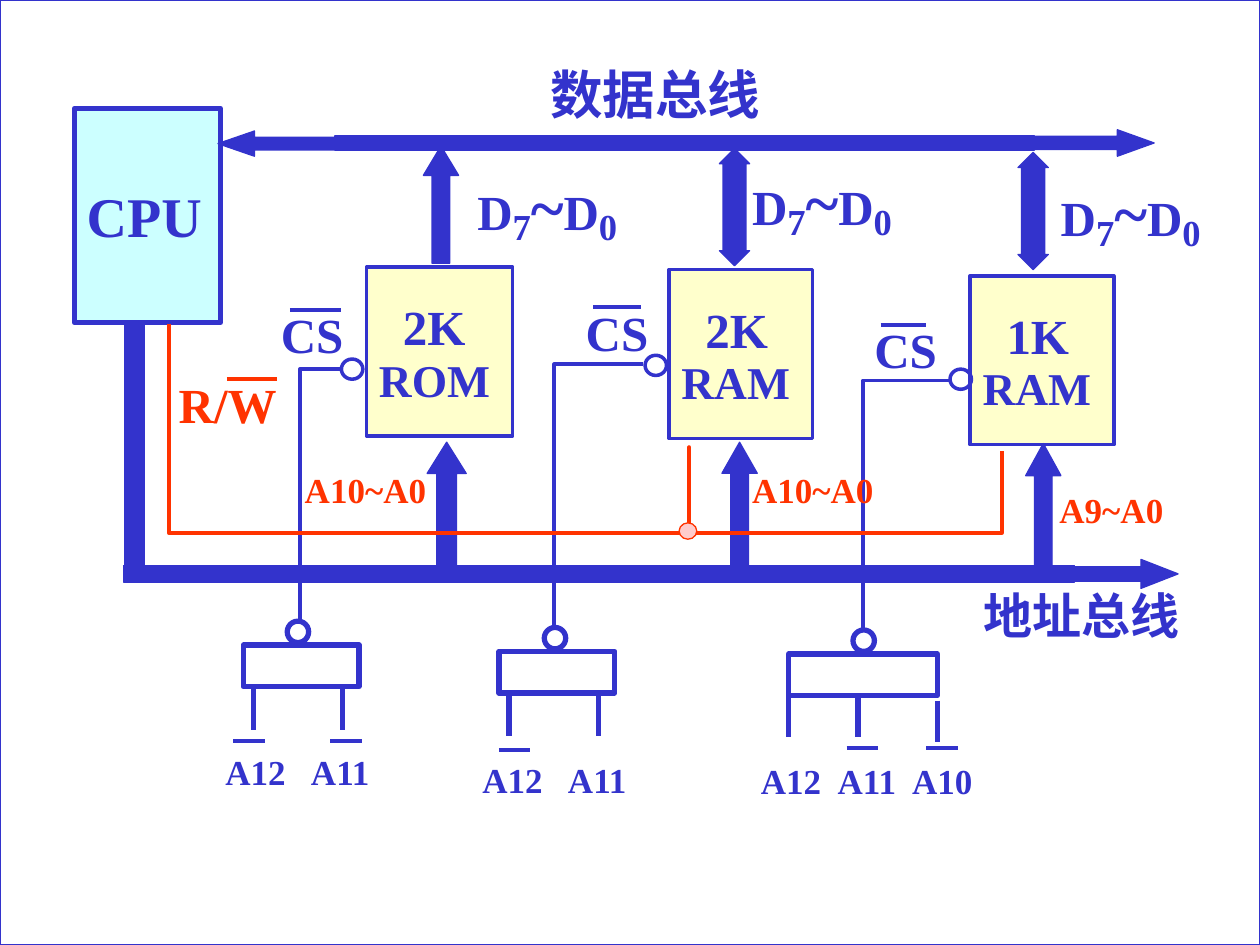
import pptx
import pptx.util
import pptx.dml.color
import pptx.enum.shapes
import pptx.enum.text
import pptx.oxml.ns
import lxml.etree

Inches = pptx.util.Inches
Pt = pptx.util.Pt
RGB = pptx.dml.color.RGBColor.from_string
SHAPE = pptx.enum.shapes.MSO_SHAPE
ANCHOR = pptx.enum.text.MSO_ANCHOR
qn = pptx.oxml.ns.qn

COLORS = {"blue": "3333CC", "red": "FF3300", "cyan": "CCFFFF",
          "yellow": "FFFFCC", "pink": "FFCCCC", "white": "FFFFFF"}
FONT = "Times New Roman"

deck = pptx.Presentation()
deck.slide_width, deck.slide_height = Inches(10), Inches(7.5)
page = deck.slides.add_slide(deck.slide_layouts[6])


def add_block(kind, left, top, width, height, fill=None, line="blue", weight=0.75, head=None):
    block = page.shapes.add_shape(kind, Inches(left), Inches(top), Inches(width), Inches(height))
    block.shadow.inherit = False
    if fill:
        block.fill.solid()
        block.fill.fore_color.rgb = RGB(COLORS[fill])
    else:
        block.fill.background()
    block.line.color.rgb = RGB(COLORS[line])
    block.line.width = Pt(weight)
    if head:
        block.adjustments[0], block.adjustments[1] = 0.5, head
    return block


def write_line(para, text, size, color="blue", tabs=()):
    properties = para._p.get_or_add_pPr()
    if tabs:
        tab_list = lxml.etree.SubElement(properties, qn("a:tabLst"))
        for stop in tabs:
            lxml.etree.SubElement(tab_list, qn("a:tab"), pos=str(Inches(stop)), algn="l")
    para.text = text
    para.alignment = pptx.enum.text.PP_ALIGN.LEFT
    for span in para.runs:
        span.font.size = Pt(size)
        span.font.name = FONT
        span.font.bold = True
        span.font.color.rgb = RGB(COLORS[color])


# Page frame and CPU
add_block(SHAPE.RECTANGLE, 0, 0, 10, 7.5, "white")
cpu = add_block(SHAPE.RECTANGLE, 0.59, 0.86, 1.16, 1.7, "cyan", weight=3)
cpu.text_frame.vertical_anchor = ANCHOR.MIDDLE
write_line(cpu.text_frame.paragraphs[0], "CPU", 32)

# Memory chips
for left, top, width, capacity, memory in [
        (2.91, 2.12, 1.16, "2K", "ROM"), (5.31, 2.14, 1.14, "2K", "RAM"),
        (7.7, 2.19, 1.14, "1K", "RAM")]:
    chip = add_block(SHAPE.RECTANGLE, left, top, width, 1.34, "yellow", weight=2)
    chip.text_frame.vertical_anchor = ANCHOR.TOP
    first = chip.text_frame.paragraphs[0]
    write_line(first, capacity, 28)
    first._p.get_or_add_pPr().set("marL", str(Inches(0.19)))
    first.line_spacing = 1.4
    second = chip.text_frame.add_paragraph()
    write_line(second, memory, 26)
    second.line_spacing = 0.95

# Data bus and address bus: shape, left, top, width, height, arrowhead
for kind, left, top, width, height, head in [
        (SHAPE.UP_ARROW, 3.36, 1.16, 0.28, 0.93, 0.83),
        (SHAPE.RIGHT_ARROW, 7.99, 1.03, 1.17, 0.21, 1.39),
        (SHAPE.RECTANGLE, 2.66, 1.08, 5.55, 0.11, None),
        (SHAPE.LEFT_ARROW, 1.73, 1.04, 1.17, 0.2, 1.45),
        (SHAPE.UP_DOWN_ARROW, 5.71, 1.18, 0.24, 0.93, 0.76),
        (SHAPE.UP_DOWN_ARROW, 8.08, 1.21, 0.24, 0.93, 0.76),
        (SHAPE.RECTANGLE, 0.99, 2.58, 0.16, 1.96, None),
        (SHAPE.UP_ARROW, 3.39, 3.51, 0.31, 1, 0.8),
        (SHAPE.UP_ARROW, 8.14, 3.52, 0.28, 1.02, 0.91),
        (SHAPE.UP_ARROW, 5.73, 3.51, 0.28, 0.98, 0.88),
        (SHAPE.RIGHT_ARROW, 8.18, 4.44, 1.17, 0.23, 1.28),
        (SHAPE.RECTANGLE, 0.98, 4.49, 7.55, 0.13, None)]:
    add_block(kind, left, top, width, height, "blue", head=head)

# Chip select wires and the read/write wire
for color, points in [
        ("blue", [(2.38, 4.95), (2.38, 2.93), (2.7, 2.93)]),
        ("blue", [(4.4, 4.98), (4.4, 2.89), (5.1, 2.89)]),
        ("blue", [(6.85, 4.99), (6.85, 3.02), (7.53, 3.02)]),
        ("red", [(1.34, 2.57), (1.34, 4.23), (5.47, 4.23), (5.47, 3.55),
                 (5.47, 4.23), (7.95, 4.23), (7.95, 3.58)])]:
    corners = [(Inches(x), Inches(y)) for x, y in points]
    builder = page.shapes.build_freeform(*corners[0])
    builder.add_line_segments(corners[1:], close=False)
    wire = builder.convert_to_shape()
    wire.shadow.inherit = False
    wire.fill.background()
    wire.line.color.rgb = RGB(COLORS[color])
    wire.line.width = Pt(2.25)

# Inverting inputs and the read/write junction
for left, top in [(2.71, 2.85), (5.12, 2.82), (7.54, 2.93)]:
    add_block(SHAPE.OVAL, left, top, 0.17, 0.16, weight=2)
add_block(SHAPE.OVAL, 5.39, 4.15, 0.14, 0.13, "pink", "red")

# Address decoders: left, top, width, bubble left
for left, top, width, bubble in [
        (1.93, 5.12, 0.92, 2.28), (3.96, 5.17, 0.92, 4.32), (6.26, 5.19, 1.18, 6.77)]:
    add_block(SHAPE.RECTANGLE, left, top, width, 0.33, weight=3)
    add_block(SHAPE.OVAL, bubble, top - 0.19, 0.17, 0.17, weight=3)

# Decoder input pins and negation bars: x, y, run, drop
pins = [(x, y, 0, 0.33) for x, y in [
    (2.01, 5.46), (2.72, 5.46), (4.04, 5.51), (4.75, 5.51),
    (6.26, 5.52), (6.81, 5.52), (7.44, 5.56)]]
address_bars = [(x, y, 0.25, 0) for x, y in [
    (1.85, 5.88), (2.62, 5.88), (3.96, 5.95), (6.72, 5.94), (7.35, 5.94)]]
select_bars = [(2.3, 2.46, 0.41, 0), (4.71, 2.44, 0.38, 0), (6.99, 2.58, 0.36, 0)]
for lines, color, weight in [
        (pins, "blue", 3), (address_bars + select_bars, "blue", 2.25),
        ([(1.8, 3.01, 0.4, 0)], "red", 2.25)]:
    for x, y, run, drop in lines:
        bar = page.shapes.add_connector(
            pptx.enum.shapes.MSO_CONNECTOR.STRAIGHT,
            Inches(x), Inches(y), Inches(x + run), Inches(y + drop))
        bar.line.color.rgb = RGB(COLORS[color])
        bar.line.width = Pt(weight)
        lxml.etree.SubElement(bar._element.spPr, qn("a:effectLst"))

# Labels: text, left, top, width, height, size, color, tab stops
for text, left, top, width, height, size, color, tabs in [
        ("数据总线", 4.27, 0.44, 1.9, 0.6, 30, "blue", ()),
        ("地址总线", 7.71, 4.6, 1.81, 0.57, 28, "blue", ()),
        ("CS", 2.13, 2.37, 1.02, 0.57, 28, "blue", ()),
        ("CS", 4.55, 2.35, 0.95, 0.57, 28, "blue", ()),
        ("CS", 6.84, 2.49, 0.88, 0.57, 28, "blue", ()),
        ("R/W", 1.32, 2.92, 1.05, 0.57, 28, "red", ()),
        ("A10~A0", 2.32, 3.67, 1.18, 0.44, 20, "red", ()),
        ("A10~A0", 5.87, 3.67, 1.18, 0.44, 20, "red", ()),
        ("A9~A0", 8.31, 3.83, 1.07, 0.44, 20, "red", ()),
        ("A12\tA11", 1.69, 5.91, 1.5, 0.44, 20, "blue", (0.68,)),
        ("A12\tA11", 3.73, 5.97, 1.5, 0.44, 20, "blue", (0.68,)),
        ("A12\tA11\tA10", 5.94, 5.98, 2.05, 0.44, 20, "blue", (0.61, 1.2))]:
    box = page.shapes.add_textbox(Inches(left), Inches(top), Inches(width), Inches(height))
    box.text_frame.word_wrap = True
    write_line(box.text_frame.paragraphs[0], text, size, color, tabs)

# Data line labels with subscripts
for left, top in [(3.69, 1.28), (5.87, 1.24), (8.32, 1.33)]:
    box = page.shapes.add_textbox(Inches(left), Inches(top), Inches(1.61), Inches(0.74))
    box.text_frame.word_wrap = True
    para = box.text_frame.paragraphs[0]
    for letter in "D7~D0":
        span = para.add_run()
        span.text = letter
        span.font.size = Pt(28 if letter == "D" else 36)
        span.font.name = FONT
        span.font.bold = True
        span.font.color.rgb = RGB(COLORS["blue"])
        if letter.isdigit():
            span.font._element.set("baseline", "-16000")

deck.save("out.pptx")
